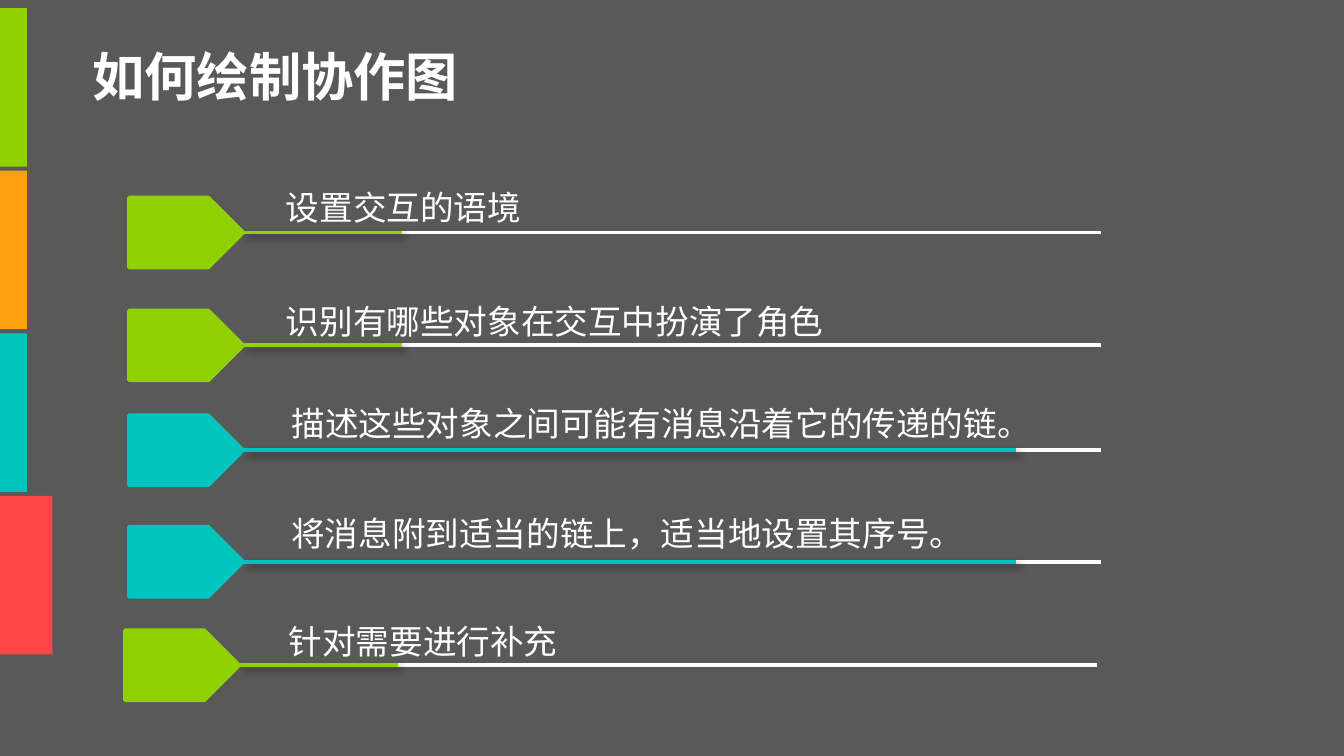
from lxml.etree import SubElement
from pptx import Presentation
from pptx.dml.color import RGBColor
from pptx.enum.shapes import MSO_CONNECTOR, MSO_SHAPE
from pptx.enum.text import MSO_AUTO_SIZE
from pptx.oxml.ns import qn
from pptx.util import Inches, Pt

FONT = "Noto Sans CJK SC"
WHITE, GRAY = "FFFFFF", "595959"
GREEN, ORANGE, TEAL, RED = "91D101", "FFA013", "00C5BE", "FF4747"
ARROW_WIDTH, ARROW_HEIGHT, RULE_LENGTH = 0.85, 0.52, 6.38
ACCENT_LENGTHS = {GREEN: 1.18, TEAL: 5.75}

STEPS = [
    ("设置交互的语境", GREEN, 0.96, 1.73, 2.03, 1.34, 5.43),
    ("识别有哪些对象在交互中扮演了角色", GREEN, 0.96, 2.57, 2.03, 2.19, 5.43),
    ("描述这些对象之间可能有消息沿着它的传递的链。", TEAL, 0.96, 3.35, 2.07, 2.95, 6.12),
    ("将消息附到适当的链上，适当地设置其序号。", TEAL, 0.96, 4.18, 2.07, 3.77, 5.43),
    ("针对需要进行补充", GREEN, 0.93, 4.95, 2.05, 4.57, 5.43),
]


def color(value):
    return RGBColor.from_string(value)


def add_block(slide, kind, left, top, width, height, fill, outlined=False):
    shape = slide.shapes.add_shape(
        kind, Inches(left), Inches(top), Inches(width), Inches(height))
    shape.shadow.inherit = False
    shape.fill.solid()
    shape.fill.fore_color.rgb = color(fill)
    if outlined:
        shape.line.color.rgb = color(fill)
        shape.line.width = Pt(2)
    else:
        shape.line.fill.background()


def add_rule(slide, left, top, length, stroke, shadowed=False):
    rule = slide.shapes.add_connector(
        MSO_CONNECTOR.STRAIGHT,
        Inches(left), Inches(top), Inches(left + length), Inches(top))
    rule.line.color.rgb = color(stroke)
    rule.line.width = Pt(2)
    effects = SubElement(rule._element.spPr, qn("a:effectLst"))
    if shadowed:
        shadow = SubElement(
            effects, qn("a:outerShdw"), blurRad=str(Pt(4)), dist=str(Pt(3)),
            dir=str(45 * 60000), algn="tl", rotWithShape="0")
        shade = SubElement(shadow, qn("a:srgbClr"), val="000000")
        SubElement(shade, qn("a:alpha"), val="40000")


def add_text(slide, text, left, top, width, height, size, bold=False, wrap=True):
    box = slide.shapes.add_textbox(
        Inches(left), Inches(top), Inches(width), Inches(height))
    frame = box.text_frame
    frame.text = text
    frame.word_wrap = wrap
    frame.auto_size = MSO_AUTO_SIZE.SHAPE_TO_FIT_TEXT
    run = frame.paragraphs[0].runs[0]
    run.font.size = Pt(size)
    run.font.bold = bold
    run.font.name = FONT
    run.font.color.rgb = color(WHITE)
    SubElement(run.font._element, qn("a:ea"), typeface=FONT)


def add_sidebar(slide):
    for index, fill in enumerate((GREEN, ORANGE, TEAL, RED)):
        width = 0.39 if fill == RED else 0.2
        add_block(slide, MSO_SHAPE.RECTANGLE, 0, 0.06 + 1.21 * index, width, 1.18, fill)


def add_step(slide, text, accent, left, middle, text_left, text_top, text_width):
    add_block(slide, MSO_SHAPE.PENTAGON, left, middle - ARROW_HEIGHT / 2,
              ARROW_WIDTH, ARROW_HEIGHT, accent, outlined=True)
    tip = left + ARROW_WIDTH
    add_rule(slide, tip, middle, RULE_LENGTH, WHITE)
    add_rule(slide, tip, middle, ACCENT_LENGTHS[accent], accent, shadowed=True)
    add_text(slide, text, text_left, text_top, text_width, 0.4, 18)


def main():
    presentation = Presentation()
    presentation.slide_width = Inches(10)
    presentation.slide_height = presentation.slide_width * 9 // 16
    slide = presentation.slides.add_slide(presentation.slide_layouts[6])
    slide.background.fill.solid()
    slide.background.fill.fore_color.rgb = color(GRAY)
    add_sidebar(slide)
    add_text(slide, "如何绘制协作图", 0.59, 0.28, 2.95, 0.57, 28, bold=True, wrap=False)
    for step in STEPS:
        add_step(slide, *step)
    presentation.save("out.pptx")


if __name__ == "__main__":
    main()
